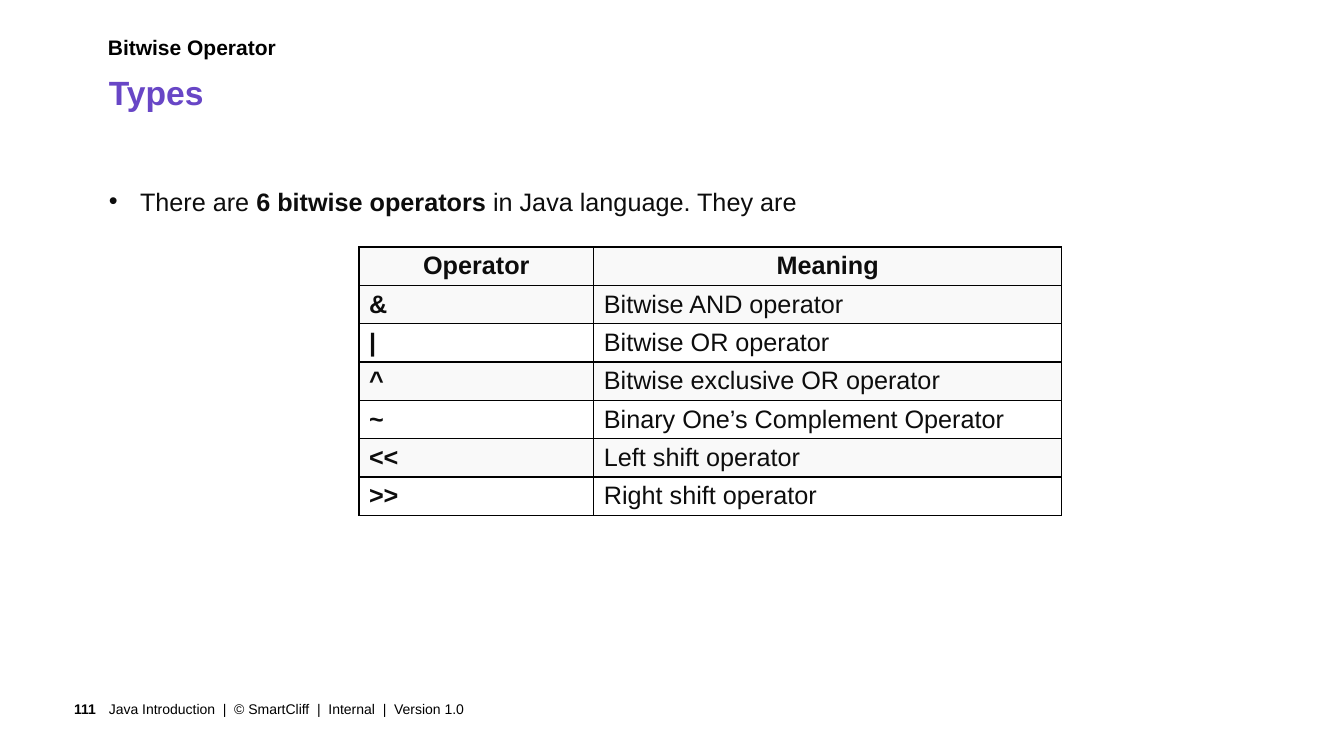
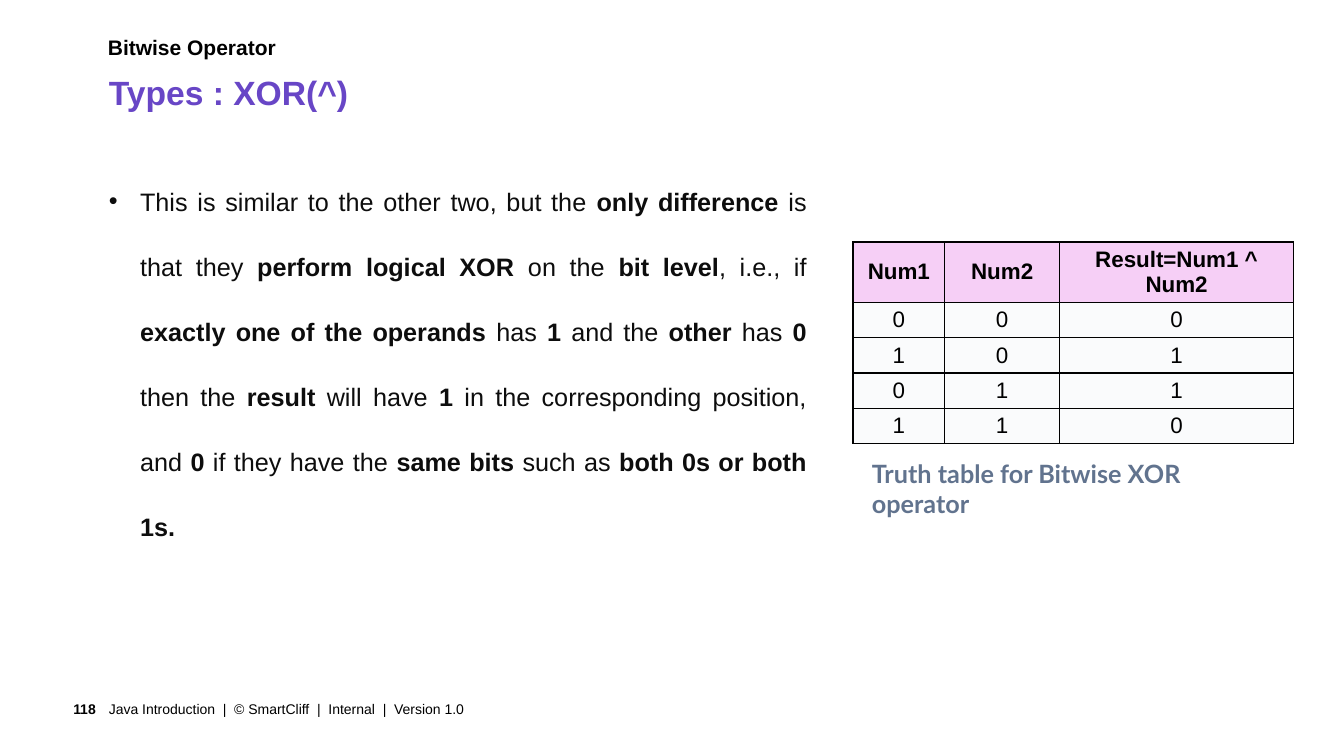
from dataclasses import dataclass

from lxml import etree
from pptx import Presentation
from pptx.dml.color import RGBColor
from pptx.enum import text as t
from pptx.oxml.ns import qn
from pptx.util import Emu, Pt

PX = 9144  # EMU in one px: 100 px to the inch


@dataclass(frozen=True)
class Theme:
    font: str = "Arial"
    caption_font: str = "Lato"
    black: str = "000000"
    body: str = "0D0D0D"
    title: str = "6846C6"
    caption: str = "61738E"
    header_pink: str = "F6CFF6"
    cell_blue: str = "FAFBFC"
    stripe: str = "F9F9F9"
    white: str = "FFFFFF"
    title_size: int = 24
    text_size: int = 18
    truth_size: int = 16
    eyebrow_size: int = 15
    footer_size: int = 10
    heading_spacing: float = 1.07
    body_spacing: float = 2.15


THEME = Theme()
LEFT, RIGHT = t.PP_ALIGN.LEFT, t.PP_ALIGN.RIGHT
CENTER, JUSTIFY = t.PP_ALIGN.CENTER, t.PP_ALIGN.JUSTIFY
MIDDLE = t.MSO_ANCHOR.MIDDLE

EYEBROW = "**Bitwise Operator**"
FOOTER = "Java Introduction  |  © SmartCliff  |  Internal  |  Version 1.0"

# Text between double asterisks is bold.
SLIDES = [
    dict(
        number=111,
        title="Types",
        body="There are **6 bitwise operators** in Java language. They are",
        body_width=1194,
        table=dict(
            left=356, top=245, columns=[233, 464], header_height=38, row_height=38,
            size=THEME.text_size, color=THEME.body, align=LEFT,
            header_fill=THEME.stripe, row_fills=[THEME.stripe, THEME.white],
            header=["Operator", "Meaning"],
            rows=[
                ("**&**", "Bitwise AND operator"),
                ("**|**", "Bitwise OR operator"),
                ("**^**", "Bitwise exclusive OR operator"),
                ("**~**", "Binary One’s Complement Operator"),
                ("**<<**", "Left shift operator"),
                ("**>>**", "Right shift operator"),
            ],
        ),
    ),
    dict(
        number=118,
        title="Types : XOR(^)",
        body="This is similar to the other two, but the **only difference** is that they "
             "**perform logical XOR** on the **bit level**, i.e., if "
             "**exactly one of the operands** has **1** and the **other** has **0** "
             "then the **result** will have **1** in the corresponding position, and "
             "**0** if they have the **same bits** such as **both 0s or both 1s.**",
        body_width=692,
        table=dict(
            left=846, top=240, columns=[91, 114, 232], header_height=60, row_height=35,
            size=THEME.truth_size, color=THEME.black, align=CENTER,
            header_fill=THEME.header_pink, row_fills=[THEME.cell_blue],
            header=["Num1", "Num2", "Result=Num1 ^ Num2"],
            rows=[(a, b, a ^ b) for a, b in [(0, 0), (1, 0), (0, 1), (1, 1)]],
        ),
        caption="**Truth table for Bitwise XOR operator**",
    ),
]


def px(*lengths):
    return [Emu(length * PX) for length in lengths]


def write(paragraph, marked, size, color, font=THEME.font, align=LEFT):
    """Add runs to the paragraph, bold where the text is between double asterisks."""
    paragraph.alignment = align
    for index, part in enumerate(marked.split("**")):
        if part:
            run = paragraph.add_run()
            run.text = part
            run.font.name, run.font.size, run.font.bold = font, Pt(size), index % 2 == 1
            run.font.color.rgb = RGBColor.from_string(color)


def set_frame(frame, insets=(0, 0, 0, 0), anchor=t.MSO_ANCHOR.TOP):
    frame.word_wrap = True
    frame.auto_size = t.MSO_AUTO_SIZE.NONE
    frame.vertical_anchor = anchor
    (frame.margin_left, frame.margin_top,
     frame.margin_right, frame.margin_bottom) = px(*insets)
    return frame.paragraphs[0]


def add_text(slide, box, **frame_options):
    return set_frame(slide.shapes.add_textbox(*px(*box)).text_frame, **frame_options)


def add_bullet(paragraph, indent):
    properties = paragraph._p.get_or_add_pPr()
    properties.set("marL", str(indent * PX))
    properties.set("indent", str(-indent * PX))
    etree.SubElement(properties, qn("a:buFont"), typeface=THEME.font)
    etree.SubElement(properties, qn("a:buChar"), char="•")


def add_borders(cell):
    properties = cell._tc.get_or_add_tcPr()
    for side in ("lnL", "lnR", "lnT", "lnB"):
        line = etree.SubElement(properties, qn(f"a:{side}"), w=str(Pt(1)))
        fill = etree.SubElement(line, qn("a:solidFill"))
        etree.SubElement(fill, qn("a:srgbClr"), val=THEME.black)


def add_operator_table(slide, spec):
    header = [f"**{label}**" for label in spec["header"]]
    rows = [header, *spec["rows"]]
    heights = [spec["header_height"]] + [spec["row_height"]] * len(spec["rows"])
    box = px(spec["left"], spec["top"], sum(spec["columns"]), sum(heights))
    table = slide.shapes.add_table(len(rows), len(header), *box).table
    table.horz_banding = False
    for column, width in zip(table.columns, px(*spec["columns"])):
        column.width = width
    for index, (row, height) in enumerate(zip(table.rows, px(*heights))):
        row.height = height
        fills = spec["row_fills"]
        fill = fills[(index - 1) % len(fills)] if index else spec["header_fill"]
        for cell, label in zip(row.cells, rows[index]):
            add_borders(cell)
            cell.fill.solid()
            cell.fill.fore_color.rgb = RGBColor.from_string(fill)
            cell.vertical_anchor = MIDDLE
            write(cell.text_frame.paragraphs[0], str(label), spec["size"], spec["color"],
                  align=spec["align"] if index else CENTER)


def add_heading(slide, title):
    eyebrow = add_text(slide, (107, 32, 1194, 41))
    eyebrow.line_spacing = THEME.heading_spacing
    write(eyebrow, EYEBROW, THEME.eyebrow_size, THEME.black)

    holder = slide.shapes.title
    holder.left, holder.top, holder.width, holder.height = px(108, 69, 1194, 42)
    heading = set_frame(holder.text_frame)
    heading.line_spacing = THEME.heading_spacing
    write(heading, f"**{title}**", THEME.title_size, THEME.title)


def add_footer(slide, number):
    page = add_text(slide, (42, 688, 65, 31), insets=(10, 5, 12, 5), anchor=MIDDLE)
    write(page, f"**{number}**", THEME.footer_size, THEME.black, align=RIGHT)
    footer = add_text(slide, (108, 688, 936, 31), insets=(0, 5, 10, 5), anchor=MIDDLE)
    write(footer, FOOTER, THEME.footer_size, THEME.black)


def build_slide(deck, content):
    slide = deck.slides.add_slide(deck.slide_layouts.get_by_name("Title Only"))
    add_footer(slide, content["number"])
    add_heading(slide, content["title"])

    body = add_text(slide, (108, 150, content["body_width"], 500))
    body.line_spacing = THEME.body_spacing
    add_bullet(body, indent=31)
    write(body, content["body"], THEME.text_size, THEME.body, align=JUSTIFY)

    add_operator_table(slide, content["table"])
    if "caption" in content:
        caption = add_text(slide, (855, 450, 427, 70), insets=(10, 5, 10, 5))
        write(caption, content["caption"], THEME.text_size, THEME.caption,
              font=THEME.caption_font)


def main():
    deck = Presentation()
    deck.slide_width, deck.slide_height = px(1333, 750)
    for content in SLIDES:
        build_slide(deck, content)
    deck.save("out.pptx")


if __name__ == "__main__":
    main()
